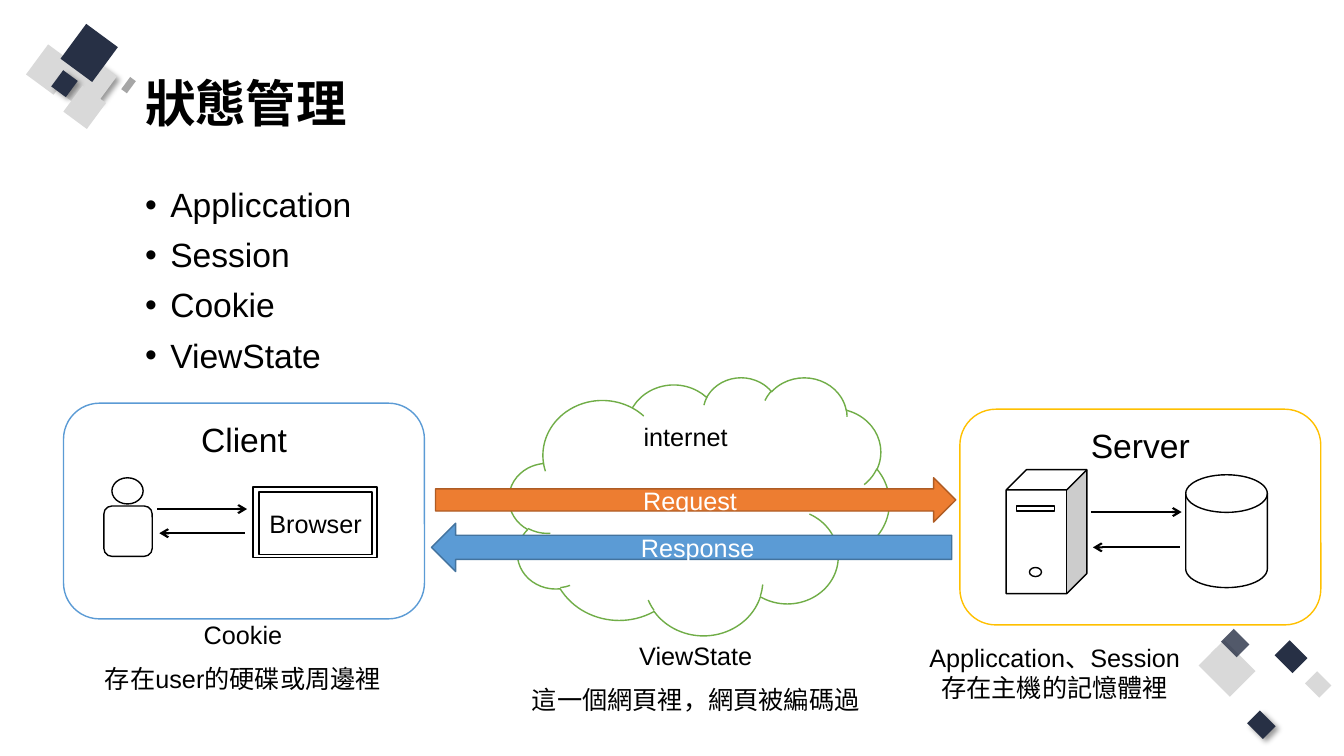
from lxml.etree import SubElement
from pptx import Presentation
from pptx.dml.color import RGBColor
from pptx.enum.shapes import MSO_CONNECTOR as Connector, MSO_SHAPE as Shape
from pptx.enum.text import MSO_ANCHOR as Anchor, PP_ALIGN as Align
from pptx.oxml.ns import qn
from pptx.util import Inches, Pt

BLACK = RGBColor(0x00, 0x00, 0x00)
WHITE = RGBColor(0xFF, 0xFF, 0xFF)
NAVY = RGBColor(0x27, 0x30, 0x45)
PALE = RGBColor(0xD9, 0xD9, 0xD9)
GREY = RGBColor(0xA6, 0xA6, 0xA6)
BLUE = RGBColor(0x5B, 0x9B, 0xD5)
DARK_BLUE = RGBColor(0x43, 0x73, 0x9E)
GREEN = RGBColor(0x70, 0xAD, 0x47)
GOLD = RGBColor(0xFF, 0xC0, 0x00)
ORANGE = RGBColor(0xED, 0x7D, 0x31)
DARK_ORANGE = RGBColor(0xAF, 0x5C, 0x24)

CENTRED = {"alignment": Align.CENTER}
CAPTION = {"alignment": Align.CENTER, "space_before": Pt(10)}
HEADING = {"line_spacing": 0.9}
LISTED = {"line_spacing": 0.9, "space_before": Pt(10)}


def assign(target, values):
    for name, value in values.items():
        setattr(target, name, value)


class SlideBuilder:
    def __init__(self, slide, font="Arial"):
        self.slide = slide
        self.font = font
        self.shapes = slide.shapes

    def start_group(self):
        self.shapes = self.slide.shapes.add_group_shape().shapes

    def end_group(self):
        self.shapes = self.slide.shapes

    def fill_text(self, frame, lines, size, color, layout, bold=False, bullet=None):
        for index, line in enumerate(lines):
            paragraph = frame.add_paragraph() if index else frame.paragraphs[0]
            paragraph.text = line
            assign(paragraph, layout)
            for run in paragraph.runs:
                assign(run.font, {"name": self.font, "size": Pt(size), "bold": bold})
                run.font.color.rgb = color
            if bullet:
                properties = paragraph._p.get_or_add_pPr()
                properties.set("marL", str(Inches(0.25)))
                properties.set("indent", str(-Inches(0.25)))
                SubElement(properties, qn("a:buFont"), typeface=self.font)
                SubElement(properties, qn("a:buChar"), char=bullet)

    def text(self, box, lines, size, layout, anchor=Anchor.TOP, **extras):
        frame = self.shapes.add_textbox(*map(Inches, box)).text_frame
        assign(frame, {"word_wrap": True, "vertical_anchor": anchor})
        self.fill_text(frame, lines, size, BLACK, layout, **extras)

    def shape(self, kind, box, fill=WHITE, line=BLACK, label=None, size=18,
              color=BLACK, anchor=Anchor.MIDDLE):
        item = self.shapes.add_shape(kind, *map(Inches, box))
        item.shadow.inherit = False
        item.fill.solid()
        item.fill.fore_color.rgb = fill
        if line is None:
            item.line.fill.background()
        else:
            item.line.color.rgb = line
            item.line.width = Pt(1)
        if label:
            item.text_frame.vertical_anchor = anchor
            self.fill_text(item.text_frame, [label], size, color, CENTRED)
        return item

    def tile(self, box, fill, rotation, shadow=False, alpha=None):
        item = self.shape(Shape.RECTANGLE, box, fill, None)
        item.rotation = rotation
        properties = item._element.spPr
        if shadow:
            effects = properties.find(qn("a:effectLst"))
            outer = SubElement(effects, qn("a:outerShdw"), blurRad=str(Pt(4)),
                               dist=str(Pt(3)), dir="2700000", algn="tl", rotWithShape="0")
            tint = SubElement(outer, qn("a:srgbClr"), val=str(BLACK))
            SubElement(tint, qn("a:alpha"), val="40000")
        if alpha:
            tint = properties.find(qn("a:solidFill")).find(qn("a:srgbClr"))
            SubElement(tint, qn("a:alpha"), val=str(alpha * 1000))

    def arrow(self, start_x, end_x, y):
        link = self.shapes.add_connector(
            Connector.STRAIGHT, Inches(start_x), Inches(y), Inches(end_x), Inches(y))
        link.line.color.rgb = BLACK
        link.line.width = Pt(1.5)
        SubElement(link.line._get_or_add_ln(), qn("a:tailEnd"), type="arrow")
        SubElement(link._element.spPr, qn("a:effectLst"))


def main():
    deck = Presentation()
    assign(deck, {"slide_width": Inches(13.33), "slide_height": Inches(7.5)})
    page = SlideBuilder(deck.slides.add_slide(deck.slide_layouts[6]))

    top_tiles = [
        ((1.2, 0.81, 0.15, 0.07), GREY, 306.4),
        ((0.32, 0.52, 0.37, 0.34), PALE, 306.4),
        ((0.8, 0.66, 0.31, 0.28), PALE, 306.4, True),
        ((0.69, 0.61, 0.19, 0.17), PALE, 306.4),
        ((0.56, 0.66, 0.33, 0.3), PALE, 306.4),
        ((0.54, 0.74, 0.2, 0.18), NAVY, 306.4, True),
        ((0.67, 0.33, 0.43, 0.39), NAVY, 306.4),
        ((0.68, 0.92, 0.32, 0.29), PALE, 306.4),
    ]
    bottom_tiles = [
        ((12.7, 6.39, 0.21, 0.25), NAVY, 315),
        ((12.99, 6.69, 0.17, 0.2), PALE, 315),
        ((11.99, 6.41, 0.36, 0.44), PALE, 135),
        ((12.42, 7.08, 0.18, 0.22), NAVY, 135, True),
        ((12.16, 6.27, 0.18, 0.22), NAVY, 135, False, 80),
    ]
    for corner in (top_tiles, bottom_tiles):
        page.start_group()
        for tile in corner:
            page.tile(*tile)
    page.end_group()

    page.text((1.34, 0.4, 10.55, 1.3), ["狀態管理"], 36, HEADING, Anchor.MIDDLE, bold=True)
    page.text((1.34, 1.82, 10.55, 4.93),
              ["Appliccation", "Session", "Cookie", "ViewState"], 24, LISTED, bullet="•")

    for kind, box, outline, label, size in [
        (Shape.ROUNDED_RECTANGLE, (0.63, 4, 3.58, 2.14), BLUE, "Client", 24),
        (Shape.CLOUD, (5.05, 3.74, 3.77, 2.56), GREEN, "internet", 18),
        (Shape.ROUNDED_RECTANGLE, (9.52, 4.06, 3.58, 2.14), GOLD, "Server", 24),
    ]:
        page.shape(kind, box, line=outline, label=label, size=size, anchor=Anchor.TOP)

    page.start_group()
    page.shape(Shape.RECTANGLE, (2.51, 4.83, 1.23, 0.7))
    page.shape(Shape.RECTANGLE, (2.57, 4.88, 1.12, 0.62), label="Browser")
    page.end_group()

    page.shape(Shape.RIGHT_ARROW, (4.32, 4.74, 5.16, 0.44), ORANGE, DARK_ORANGE,
               "Request", color=WHITE)
    page.shape(Shape.LEFT_ARROW, (4.28, 5.19, 5.16, 0.48), BLUE, DARK_BLUE,
               "Response", color=WHITE)

    user = [(Shape.OVAL, (1.11, 4.74, 0.31, 0.26)),
            (Shape.ROUNDED_RECTANGLE, (1.03, 5.02, 0.48, 0.5))]
    host = [(Shape.CUBE, (9.98, 4.66, 0.8, 1.23)),
            (Shape.OVAL, (10.21, 5.63, 0.12, 0.09)),
            (Shape.RECTANGLE, (10.08, 5.02, 0.38, 0.05))]
    for icon in (user, host):
        page.start_group()
        for part in icon:
            page.shape(*part)
    page.end_group()
    page.shape(Shape.FLOWCHART_MAGNETIC_DISK, (11.76, 4.71, 0.81, 1.12))

    for route in [(10.82, 11.72, 5.08), (11.7, 10.84, 5.43),
                  (1.56, 2.45, 5.05), (2.43, 1.58, 5.29)]:
        page.arrow(*route)

    for box, lines in [
        ((0.93, 6.09, 2.96, 0.85), ["Cookie", "存在user的硬碟或周邊裡"]),
        ((8.97, 6.32, 2.98, 0.71), ["Appliccation、Session\v存在主機的記憶體裡"]),
        ((5.16, 6.3, 3.48, 0.85), ["ViewState", "這一個網頁裡，網頁被編碼過"]),
    ]:
        page.text(box, lines, 18, CAPTION)

    deck.save("out.pptx")


if __name__ == "__main__":
    main()
